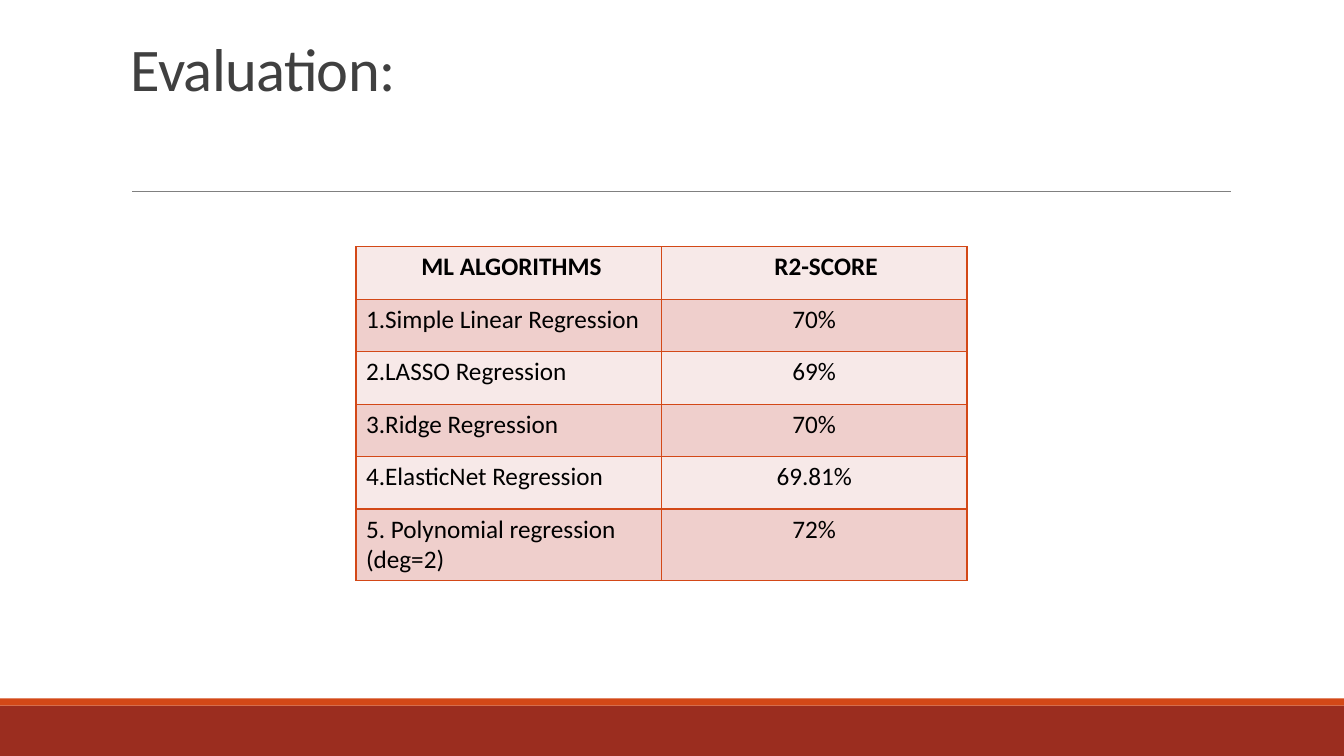
from dataclasses import dataclass

from lxml.etree import SubElement
from pptx import Presentation
from pptx.dml.color import RGBColor
from pptx.enum.shapes import MSO_CONNECTOR as CONNECTOR, MSO_SHAPE as SHAPE
from pptx.enum.text import MSO_ANCHOR as ANCHOR, MSO_AUTO_SIZE as AUTO_SIZE, PP_ALIGN as ALIGN
from pptx.oxml import parse_xml
from pptx.oxml.ns import nsdecls, qn
from pptx.util import Pt

PX = 9525  # EMU per px, 96 px to the inch


@dataclass(frozen=True)
class Theme:
    font: str = "Calibri"
    title_size: float = 43.2
    table_size: float = 18
    title: str = "404040"
    text: str = "000000"
    rule: str = "808080"
    accent: str = "D34817"
    footer: str = "9B2D1F"
    bands: tuple = ("F7E9E8", "EFCFCC")


THEME = Theme()


def write(frame, text, size, color, bold=False, align=ALIGN.LEFT, line_spacing=1.0, tracking=0):
    """Fill a text frame with one formatted run; tracking is in hundredths of a point."""
    paragraph = frame.paragraphs[0]
    paragraph.alignment = align
    paragraph.line_spacing = line_spacing
    run = paragraph.add_run()
    run.text = text
    run.font.name = THEME.font
    run.font.size = Pt(size)
    run.font.bold = bold
    run.font.color.rgb = RGBColor.from_string(color)
    if tracking:
        run._r.get_or_add_rPr().set("spc", str(tracking))


def add_borders(cell, color, width):
    properties = cell._tc.get_or_add_tcPr()
    for side in ("lnL", "lnR", "lnT", "lnB"):
        properties.append(parse_xml(
            f'<a:{side} {nsdecls("a")} w="{Pt(width)}"><a:solidFill>'
            f'<a:srgbClr val="{color}"/></a:solidFill></a:{side}>'))


prs = Presentation()
prs.slide_width, prs.slide_height = 1280 * PX, 720 * PX
slide = prs.slides.add_slide(prs.slide_layouts[5])

# Footer bands
for top, height, color in ((672, 48, THEME.footer), (665, 7, THEME.accent)):
    band = slide.shapes.add_shape(SHAPE.RECTANGLE, 0, top * PX, 1280 * PX, height * PX)
    band.shadow.inherit = False
    band.fill.solid()
    band.fill.fore_color.rgb = RGBColor.from_string(color)
    band.line.fill.background()

# Rule below the title
rule = slide.shapes.add_connector(CONNECTOR.STRAIGHT, 126 * PX, 182 * PX, 1172 * PX, 182 * PX)
rule.line.color.rgb = RGBColor.from_string(THEME.rule)
rule.line.width = Pt(0.5)
SubElement(rule._element.spPr, qn("a:effectLst"))

# Title
title = slide.shapes.title
title.left, title.top, title.width, title.height = 115 * PX, 30 * PX, 1056 * PX, 74 * PX
title.text_frame.auto_size = AUTO_SIZE.NONE
title.text_frame.vertical_anchor = ANCHOR.BOTTOM
write(title.text_frame, "Evaluation:", THEME.title_size, THEME.title,
      line_spacing=0.85, tracking=-50)

# Score table
scores = [
    ("ML ALGORITHMS", "R2-SCORE"),
    ("1.Simple Linear Regression", "70%"),
    ("2.LASSO Regression", "69%"),
    ("3.Ridge Regression", "70%"),
    ("4.ElasticNet Regression", "69.81%"),
    ("5. Polynomial regression (deg=2)", "72%"),
]
header_margins = (15, 32)
column_width, row_height = 291, 50
score_table = slide.shapes.add_table(
    len(scores), 2, 339 * PX, 235 * PX,
    2 * column_width * PX, len(scores) * row_height * PX).table
score_table.first_row = False
score_table.horz_banding = False

for row, entries in enumerate(scores):
    score_table.rows[row].height = row_height * PX
    is_header = row == 0
    for column, entry in enumerate(entries):
        cell = score_table.cell(row, column)
        add_borders(cell, THEME.accent, 1)
        cell.fill.solid()
        cell.fill.fore_color.rgb = RGBColor.from_string(THEME.bands[row % 2])
        if is_header:
            cell.margin_left = header_margins[column] * PX
        write(cell.text_frame, entry, THEME.table_size, THEME.text, bold=is_header,
              align=ALIGN.CENTER if is_header or column == 1 else ALIGN.LEFT)

prs.save("out.pptx")
